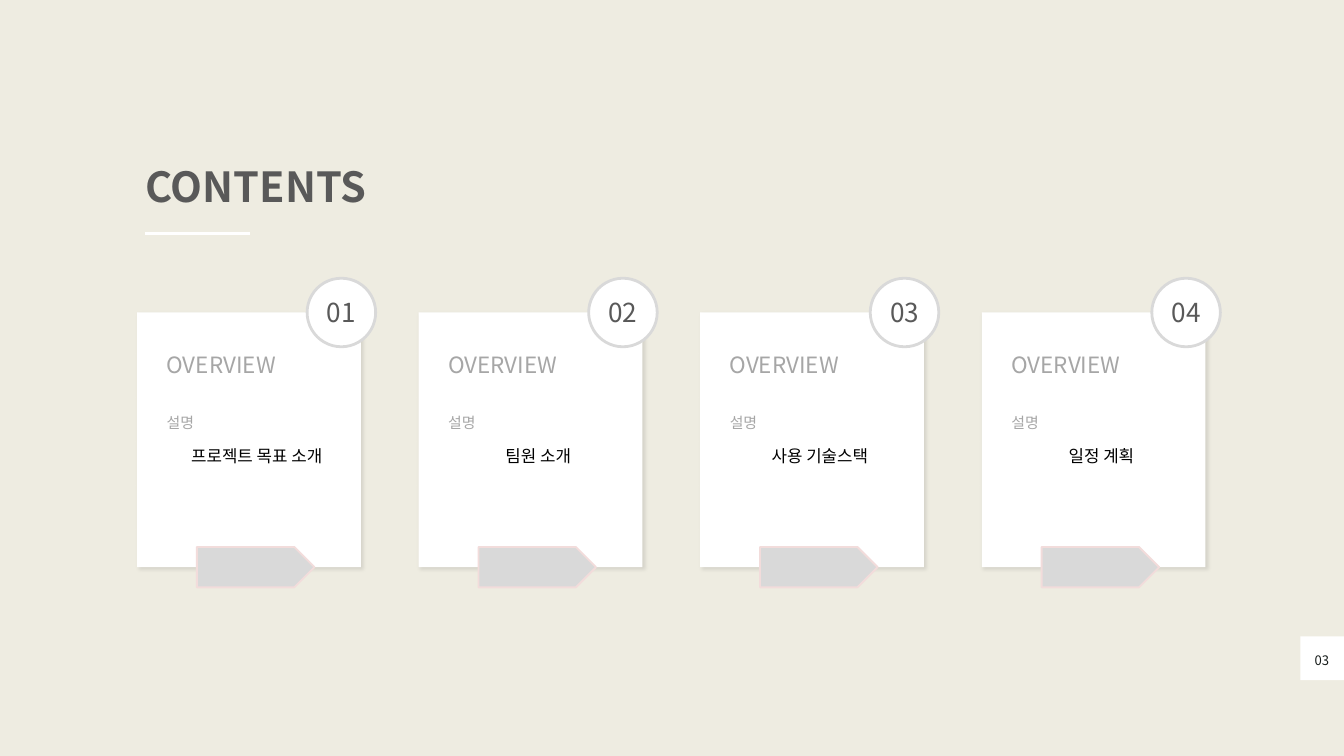
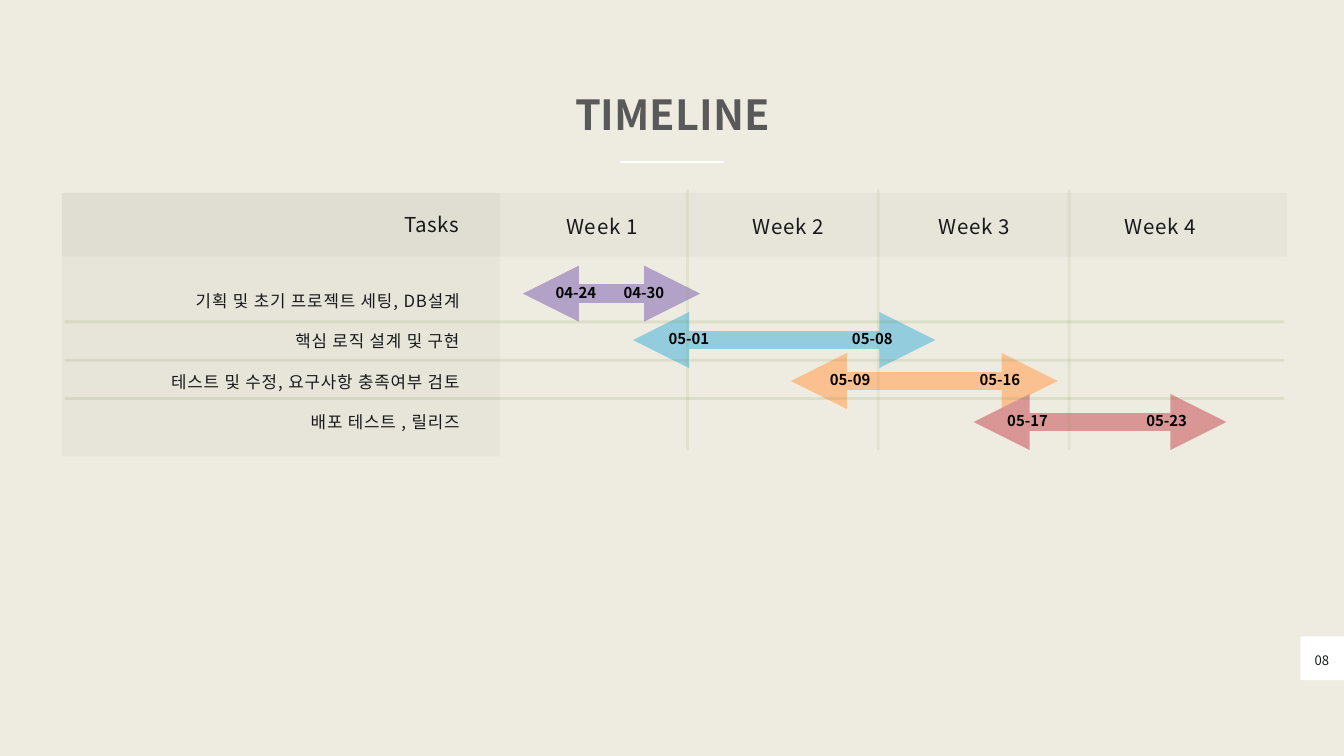
import pptx
import pptx.util
import pptx.dml.color
import pptx.enum.shapes
import pptx.enum.text
import pptx.oxml
import pptx.oxml.ns
from collections import namedtuple

SCALE = 9144  # EMU per px, 100 px to the inch
FONT = "Noto Sans CJK KR"
BACKGROUND, WHITE, BLACK = "EEECE1", "FFFFFF", "000000"
HEADING, MUTED, SILVER, INK = "595959", "A6A6A6", "D9D9D9", "191919"
PAGE_INK, ROSE, GRID = "151A18", "F2DCDB", "77933C"

SHAPE = pptx.enum.shapes.MSO_SHAPE
ALIGN = pptx.enum.text.PP_ALIGN
ANCHOR = pptx.enum.text.MSO_ANCHOR
Box = namedtuple("Box", "left top width height")
Bar = namedtuple("Bar", "left right y color start start_left end end_left")

TOPICS = ["프로젝트 목표 소개", "팀원 소개", "사용 기술스택", "일정 계획"]
TASKS = [
    "기획 및 초기 프로젝트 세팅, DB설계",
    "핵심 로직 설계 및 구현",
    "테스트 및 수정, 요구사항 충족여부 검토",
    "배포 테스트 , 릴리즈",
]
# Positions are relative to the schedule box
BARS = [
    Bar(686, 950, 150, "B3A2C7", "04-24", 725, "04-30", 826),
    Bar(850, 1300, 219, "93CDDD", "05-01", 893, "05-08", 1166),
    Bar(1085, 1482, 280, "FAC090", "05-09", 1133, "05-16", 1356),
    Bar(1357, 1733, 341, "D99694", "05-17", 1397, "05-23", 1604),
]


def px(length):
    return pptx.util.Emu(round(length * SCALE))


def rgb(color):
    return pptx.dml.color.RGBColor.from_string(color)


def append_xml(parent, xml):
    namespace = pptx.oxml.ns.nsdecls("a")
    parent.append(pptx.oxml.parse_xml(xml.replace(">", f" {namespace}>", 1)))


def set_opacity(fill_format, percent):
    color = fill_format._xPr.find(".//" + pptx.oxml.ns.qn("a:srgbClr"))
    append_xml(color, f'<a:alpha val="{percent * 1000}"></a:alpha>')


def write(text_frame, text, size, color, align=ALIGN.LEFT, bold=False,
          line_points=None, tracking=None):
    text_frame.word_wrap = True
    paragraph = text_frame.paragraphs[0]
    paragraph.alignment = align
    if line_points:
        paragraph.line_spacing = pptx.util.Pt(line_points)
    run = paragraph.add_run()
    run.text = text
    run.font.name = FONT
    run.font.size = pptx.util.Pt(size)
    run.font.bold = bold
    run.font.color.rgb = rgb(color)
    properties = run._r.get_or_add_rPr()
    if tracking:
        properties.set("spc", str(round(tracking * 100)))
    append_xml(properties, f'<a:ea typeface="{FONT}"></a:ea>')


def add_text(shapes, box, text, size, color, inset=False,
             anchor=ANCHOR.TOP, **style):
    text_frame = shapes.add_textbox(*map(px, box)).text_frame
    text_frame.vertical_anchor = anchor
    if not inset:
        text_frame.margin_left = text_frame.margin_right = 0
        text_frame.margin_top = text_frame.margin_bottom = 0
    write(text_frame, text, size, color, **style)


def add_shape(shapes, kind, box, fill, line=None, line_points=0, opacity=None):
    shape = shapes.add_shape(kind, *map(px, box))
    shape.shadow.inherit = False
    shape.fill.solid()
    shape.fill.fore_color.rgb = rgb(fill)
    if opacity:
        set_opacity(shape.fill, opacity)
    if line:
        shape.line.color.rgb = rgb(line)
        shape.line.width = pptx.util.Pt(line_points)
    else:
        shape.line.fill.background()
    return shape


def add_line(shapes, x1, y1, x2, y2, color, points=3, opacity=None, arrows=False):
    connector = shapes.add_connector(
        pptx.enum.shapes.MSO_CONNECTOR.STRAIGHT, px(x1), px(y1), px(x2), px(y2))
    connector.line.color.rgb = rgb(color)
    connector.line.width = pptx.util.Pt(points)
    if opacity:
        set_opacity(connector.line.fill, opacity)
    if arrows:
        for end in ("headEnd", "tailEnd"):
            append_xml(connector.line._get_or_add_ln(),
                       f'<a:{end} type="triangle"></a:{end}>')
    append_xml(connector._element.spPr, "<a:effectLst></a:effectLst>")


def add_soft_shadow(shape):
    effects = shape._element.spPr.find(pptx.oxml.ns.qn("a:effectLst"))
    append_xml(effects, '<a:outerShdw blurRad="50800" dist="38100" dir="2700000" '
                        'algn="tl" rotWithShape="0"><a:srgbClr val="000000">'
                        '<a:alpha val="10000"/></a:srgbClr></a:outerShdw>')


def add_page(presentation, number):
    """Add a slide with the shared background and page number tab."""
    slide = presentation.slides.add_slide(presentation.slide_layouts[6])
    slide.background.fill.solid()
    slide.background.fill.fore_color.rgb = rgb(BACKGROUND)
    add_shape(slide.shapes, SHAPE.RECTANGLE, Box(1935, 947, 65, 65), WHITE)
    add_text(slide.shapes, Box(1944, 967, 46, 26), number, 14, PAGE_INK,
             align=ALIGN.CENTER, line_points=19.6)
    return slide


def add_title(slide, box, text, align):
    add_text(slide.shapes, box, text, 44.4, HEADING, align=align, bold=True,
             line_points=56.4)
    rule_width = 156
    rule_left = box.left
    if align == ALIGN.CENTER:
        rule_left += (box.width - rule_width) // 2
    rule_y = box.top + 113
    add_line(slide.shapes, rule_left, rule_y, rule_left + rule_width, rule_y, WHITE)


def add_card(slide, box, number, topic):
    left, top = box.left, box.top
    shapes = slide.shapes.add_group_shape().shapes
    panel = add_shape(shapes, SHAPE.RECTANGLE, box, WHITE)
    add_soft_shadow(panel)
    badge = add_shape(shapes, SHAPE.OVAL, Box(left + 253, top - 51, 102, 102),
                      WHITE, SILVER, 3)
    badge.text_frame.vertical_anchor = ANCHOR.MIDDLE
    write(badge.text_frame, number, 28, HEADING, align=ALIGN.CENTER)
    add_shape(shapes, SHAPE.PENTAGON, Box(left + 89, top + 349, 175, 60),
              SILVER, ROSE, 2)
    add_text(shapes, Box(left + 44, top + 23, 200, 77), "OVERVIEW", 24, MUTED,
             anchor=ANCHOR.MIDDLE, line_points=52)
    add_text(shapes, Box(left + 44, top + 105, 200, 77), "설명", 16, MUTED,
             anchor=ANCHOR.MIDDLE, line_points=48)
    add_text(slide.shapes, Box(left + 56, top + 193, 244, 40), topic, 18, BLACK,
             inset=True, align=ALIGN.CENTER)


def add_schedule_labels(shapes, box):
    left, top = box.left, box.top
    header = dict(line_points=28.4, tracking=0.8)
    add_shape(shapes, SHAPE.RECTANGLE, Box(left, top, 652, box.height), INK, opacity=3)
    add_shape(shapes, SHAPE.RECTANGLE, Box(left, top, box.width, 95), INK, opacity=3)
    add_text(shapes, Box(left + 186, top + 25, 406, 37), "Tasks", 22, INK,
             align=ALIGN.RIGHT, **header)
    for week in range(4):
        add_text(shapes, Box(left + 723 + 277 * week, top + 29, 162, 37),
                 f"Week {week + 1}", 22, INK, align=ALIGN.CENTER, **header)
    for row, task in enumerate(TASKS):
        add_text(shapes, Box(left + 45, top + 138 + 60 * row, 547, 35), task, 18, INK,
                 align=ALIGN.RIGHT, line_points=27, tracking=0.9)


def add_schedule_bars(shapes, box):
    left, top = box.left, box.top
    for bar in BARS:
        y = top + bar.y
        add_line(shapes, left + bar.left, y, left + bar.right, y, bar.color,
                 points=20, arrows=True)
    for index in range(3):
        x = left + 931 + 284 * index
        add_line(shapes, x, top - 5, x, top + 383, GRID, opacity=10)
        y = top + 192 + 57 * index
        add_line(shapes, left + 4, y, left + box.width - 4, y, GRID, opacity=15)
    for bar in BARS:
        for date, date_left in ((bar.start, bar.start_left), (bar.end, bar.end_left)):
            add_text(shapes, Box(left + date_left, top + bar.y - 20, 101, 37), date,
                     16, BLACK, inset=True, bold=True)


def build_contents(presentation):
    slide = add_page(presentation, "03")
    add_title(slide, Box(216, 235, 462, 77), "CONTENTS", ALIGN.LEFT)
    for index, topic in enumerate(TOPICS):
        add_card(slide, Box(204 + 419 * index, 465, 333, 379), f"{index + 1:02}", topic)


def build_timeline(presentation):
    slide = add_page(presentation, "08")
    add_title(slide, Box(625, 128, 751, 77), "TIMELINE", ALIGN.CENTER)
    schedule = Box(92, 287, 1823, 392)
    add_schedule_labels(slide.shapes, schedule)
    add_schedule_bars(slide.shapes, schedule)


def main():
    presentation = pptx.Presentation()
    presentation.slide_width, presentation.slide_height = px(2000), px(1125)
    build_contents(presentation)
    build_timeline(presentation)
    presentation.save("out.pptx")


if __name__ == "__main__":
    main()
